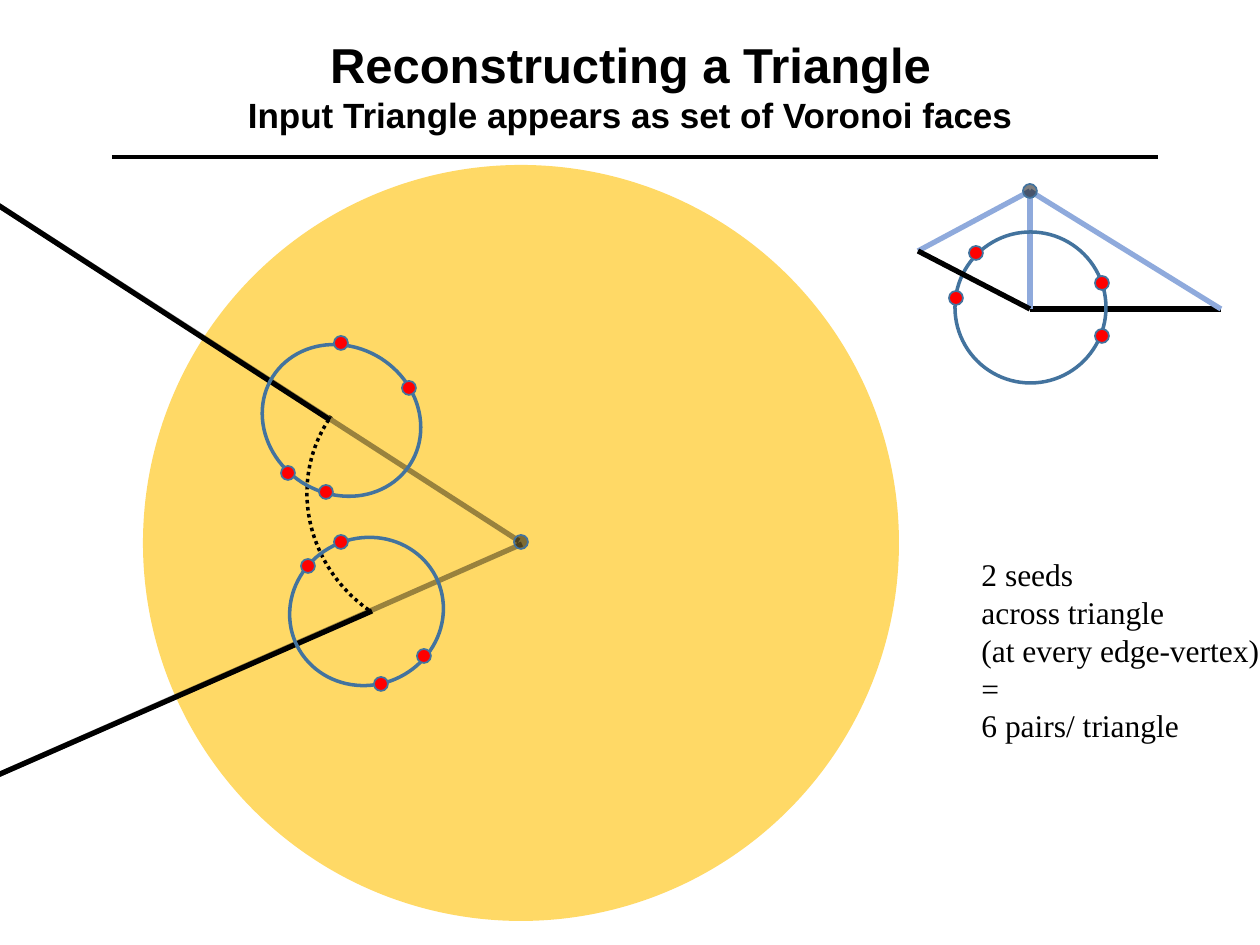
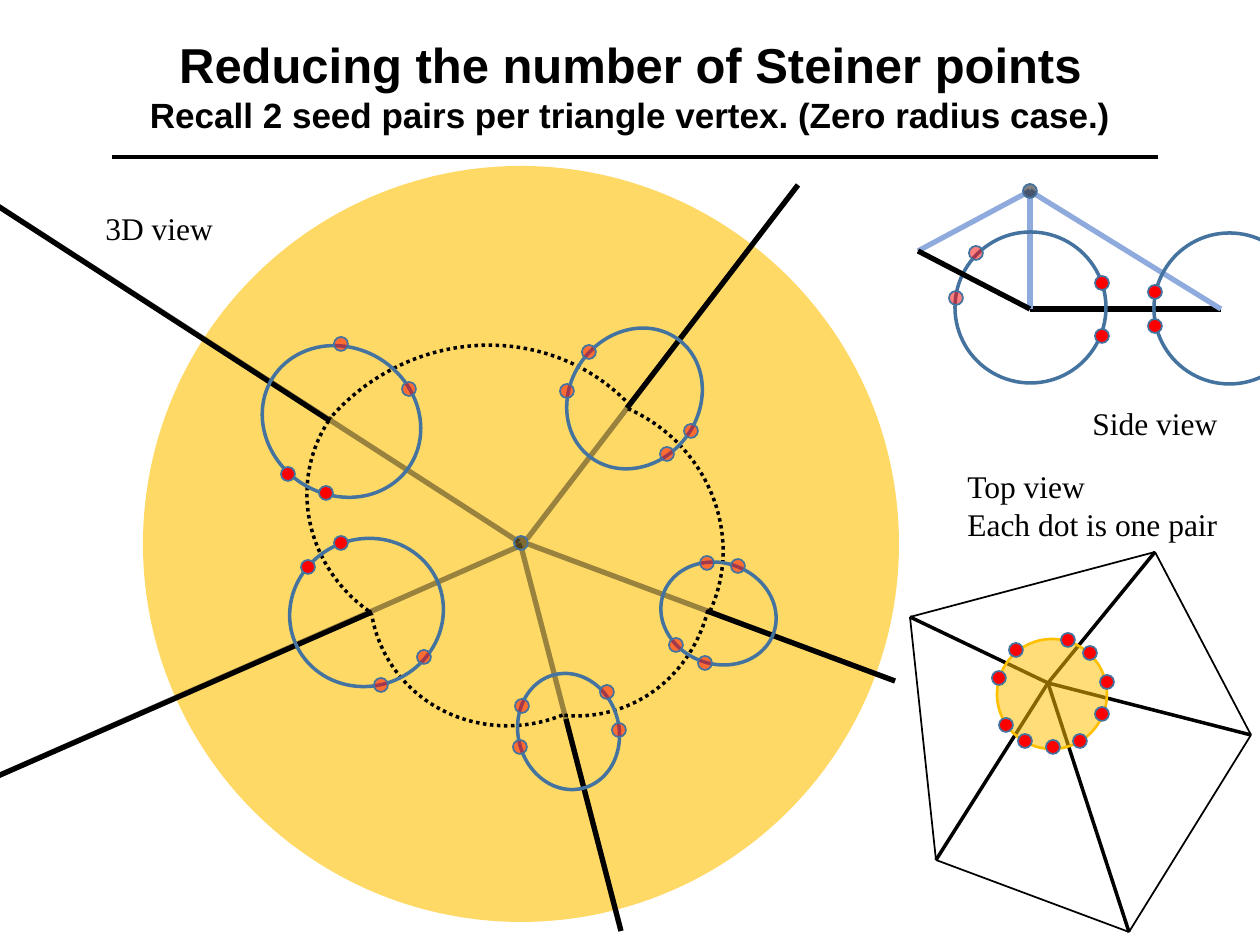
from itertools import pairwise
from typing import NamedTuple

from lxml import etree
from pptx import Presentation
from pptx.dml.color import RGBColor
from pptx.enum.dml import MSO_LINE
from pptx.enum.shapes import MSO_CONNECTOR, MSO_SHAPE
from pptx.enum.text import MSO_ANCHOR, PP_ALIGN
from pptx.oxml.ns import qn
from pptx.util import Emu, Pt

STRAIGHT = MSO_CONNECTOR.STRAIGHT
ELLIPSE, ARC = MSO_SHAPE.OVAL, MSO_SHAPE.ARC
DOTTED = MSO_LINE.ROUND_DOT
MIDDLE, TOP = MSO_ANCHOR.MIDDLE, MSO_ANCHOR.TOP
CENTER, LEFT = PP_ALIGN.CENTER, PP_ALIGN.LEFT

COLORS = {
    "ink": "000000",
    "ball": "FFD966",
    "top_ball": "FFC000",
    "ring": "43739E",
    "seed": "FF0000",
    "far_edge": "8FAADC",
}
DOT = 14
BALL = 756


class Edge(NamedTuple):
    """A triangle edge leaving the ball, with its ring of seeds."""
    start: tuple
    exit: tuple
    tip: tuple
    ring: tuple
    turn: float
    near_seeds: list
    far_seeds: list


EDGES = [
    Edge((376, 376), (187, 255), (-207, 0), (117, 182, 163, 147), 32.4,
         [(183, 327), (145, 308)], [(198, 178), (266, 223)]),
    Edge((379, 379), (229, 446), (-193, 631), (146, 373, 155, 147), 336.8,
         [(165, 401), (198, 377)], [(238, 519), (281, 491)]),
    Edge((384, 373), (484, 242), (655, 19), (427, 159, 129, 147), 36.7,
         [], [(446, 186), (424, 225), (548, 265), (524, 288)]),
    Edge((385, 378), (564, 445), (752, 515), (525, 389, 101, 117), 109.8,
         [], [(564, 397), (595, 400), (533, 479), (562, 497)]),
    Edge((379, 384), (423, 553), (478, 765), (375, 507, 101, 117), 166.1,
         [], [(379, 540), (377, 581), (464, 526), (476, 564)]),
]
FACE_ARCS = [
    ((162, 197, 285, 273), 215.3, (162, 0)),
    ((226, 286, 285, 273), 158.1, (162, 6.82)),
    ((290, 271, 285, 273), 83.2, (175.45, 6.82)),
    ((272, 231, 310, 296), 31.2, (157.1, 212.1)),
    ((132, 183, 410, 392), 319.5, (157.1, 214.08)),
]
TOP_CORNERS = [(245, 0), (341, 183), (219, 380), (26, 308), (0, 65)]
TOP_HUB = (138, 131)
TOP_SEEDS = [(89, 126), (96, 173), (115, 189), (143, 195), (170, 189),
             (192, 162), (197, 130), (180, 101), (106, 98), (158, 88)]


def px(length):
    """Turn pixels into EMU."""
    return Emu(round(length * 914400 / 126))


def rgb(name):
    """Look up a named colour."""
    return RGBColor.from_string(COLORS[name])


def set_opacity(shape, percent):
    """Make the first colour of a shape see-through."""
    if percent < 100:
        color = shape.element.spPr.find(".//" + qn("a:srgbClr"))
        etree.SubElement(color, qn("a:alpha"), val=str(percent * 1000))


class Region:
    """Draws parts relative to the top left corner of a box."""

    def __init__(self, slide, left, top):
        """Remember the slide and the corner."""
        self.shapes, self.left, self.top = slide.shapes, left, top

    def line(self, start, end, color="ink", width=3, opacity=100):
        """Draw a straight line."""
        (x1, y1), (x2, y2) = start, end
        edge = self.shapes.add_connector(
            STRAIGHT, px(self.left + x1), px(self.top + y1),
            px(self.left + x2), px(self.top + y2))
        edge.line.color.rgb = rgb(color)
        edge.line.width = Pt(width)
        set_opacity(edge, opacity)
        etree.SubElement(edge.element.spPr, qn("a:effectLst"))

    def curve(self, box, kind=ELLIPSE, fill=None, outline="ring", width=2,
              turn=0, opacity=100):
        """Draw an ellipse or an arc."""
        x, y, w, h = box
        shape = self.shapes.add_shape(
            kind, px(self.left + x), px(self.top + y), px(w), px(h))
        shape.shadow.inherit = False
        shape.rotation = turn
        if fill:
            shape.fill.solid()
            shape.fill.fore_color.rgb = rgb(fill)
            set_opacity(shape, opacity)
        else:
            shape.fill.background()
        if outline:
            shape.line.color.rgb = rgb(outline)
            shape.line.width = Pt(width)
        else:
            shape.line.fill.background()
        return shape

    def dot(self, center, color="seed", opacity=100):
        """Draw a seed or a vertex around its centre."""
        x, y = center
        self.curve((x - DOT / 2, y - DOT / 2, DOT, DOT), fill=color, width=1,
                   opacity=opacity)

    def dots(self, centers, opacity=100):
        """Draw several seeds alike."""
        for center in centers:
            self.dot(center, opacity=opacity)

    def arc(self, box, turn, span):
        """Draw a dotted arc."""
        arc = self.curve(box, ARC, outline="ink", turn=turn)
        arc.adjustments[0], arc.adjustments[1] = span
        arc.line.dash_style = DOTTED


def add_text(slide, box, lines, sizes, font="Times New Roman", bold=False,
             align=LEFT, anchor=TOP, wrap=False):
    """Add a text box with one paragraph a line."""
    frame = slide.shapes.add_textbox(*map(px, box)).text_frame
    frame.word_wrap = wrap
    frame.vertical_anchor = anchor
    frame.text = "\n".join(lines)
    for paragraph, size in zip(frame.paragraphs, sizes):
        paragraph.alignment = align
        paragraph.font.name = font
        paragraph.font.size = Pt(size)
        paragraph.font.bold = bold
        paragraph.font.color.rgb = rgb("ink")


def add_label(slide, box, *lines):
    """Add a plain label."""
    add_text(slide, box, lines, [18] * len(lines))


def add_titled_slide(deck, title, subtitle):
    """Start a slide with its title and rule."""
    slide = deck.slides.add_slide(deck.slide_layouts[6])
    Region(slide, 112, 157).line((0, 0), (1046, 0), width=2)
    add_text(slide, (95, 15, 1071, 140), [title, subtitle], [28, 20], "Arial",
             True, CENTER, MIDDLE, True)
    return slide


def draw_ball_view(slide, left, top, edges, arcs, far_opacity):
    """Draw the ball with its edges, rings and seeds."""
    view = Region(slide, left, top)
    view.curve((0, 0, BALL, BALL), fill="ball", outline=None)
    for edge in edges:
        view.line(edge.start, edge.tip, opacity=40)
        view.line(edge.exit, edge.tip)
    for arc in arcs:
        view.arc(*arc)
    for edge in edges:
        view.curve(edge.ring, turn=edge.turn)
        view.dots(edge.near_seeds)
        view.dots(edge.far_seeds, far_opacity)
    view.dot((378, 377), "ink", 50)


def draw_side_view(slide, left, top, left_opacity):
    """Draw two triangles from the side with a ring at their hinge."""
    view = Region(slide, left, top)
    apex, hinge, near, far = (112, 7), (112, 125), (0, 67), (303, 125)
    view.line(far, hinge)
    for corner in (hinge, far):
        view.line(apex, corner, "far_edge")
    view.curve((37, 48, 151, 151))
    view.dots([(184, 99), (184, 152)])
    view.dots([(38, 114), (58, 69)], left_opacity)
    view.line(apex, near, "far_edge")
    view.line(hinge, near)
    view.dot(apex, "ink", 50)
    return view


def draw_top_view(slide, left, top):
    """Draw the fan of triangles from above."""
    view = Region(slide, left, top)
    for corner in TOP_CORNERS:
        view.line(TOP_HUB, corner, width=2)
    for start, end in pairwise(TOP_CORNERS + TOP_CORNERS[:1]):
        view.line(start, end, width=1)
    view.curve((87, 87, 110, 110), fill="top_ball", outline="top_ball",
               width=1.5, opacity=53)
    view.dots(TOP_SEEDS)


def build_triangle_slide(deck):
    """Build the slide on one triangle."""
    slide = add_titled_slide(deck, "Reconstructing a Triangle",
                             "Input Triangle appears as set of Voronoi faces")
    draw_side_view(slide, 918, 184, 100)
    add_label(slide, (969, 549, 306, 204), "2 seeds", "across triangle",
              "(at every edge-vertex)", "=", "6 pairs/ triangle")
    draw_ball_view(slide, 143, 165, EDGES[:2], FACE_ARCS[:1], 100)


def build_steiner_slide(deck):
    """Build the slide on all triangles around a vertex."""
    slide = add_titled_slide(
        deck, "Reducing the number of Steiner points",
        "Recall 2 seed pairs per triangle vertex. (Zero radius case.)")
    draw_ball_view(slide, 143, 166, EDGES, FACE_ARCS, 50)
    side = draw_side_view(slide, 918, 184, 50)
    side.curve((236, 49, 151, 151))
    side.dots([(237, 142), (237, 108)])
    draw_top_view(slide, 910, 552)
    add_label(slide, (93, 203, 134, 50), "3D view")
    add_label(slide, (1080, 398, 151, 50), "Side view")
    add_label(slide, (955, 461, 278, 89), "Top view", "Each dot is one pair")


def main():
    """Build and save the deck."""
    deck = Presentation()
    deck.slide_width, deck.slide_height = px(1260), px(945)
    build_triangle_slide(deck)
    build_steiner_slide(deck)
    deck.save("out.pptx")


if __name__ == "__main__":
    main()
